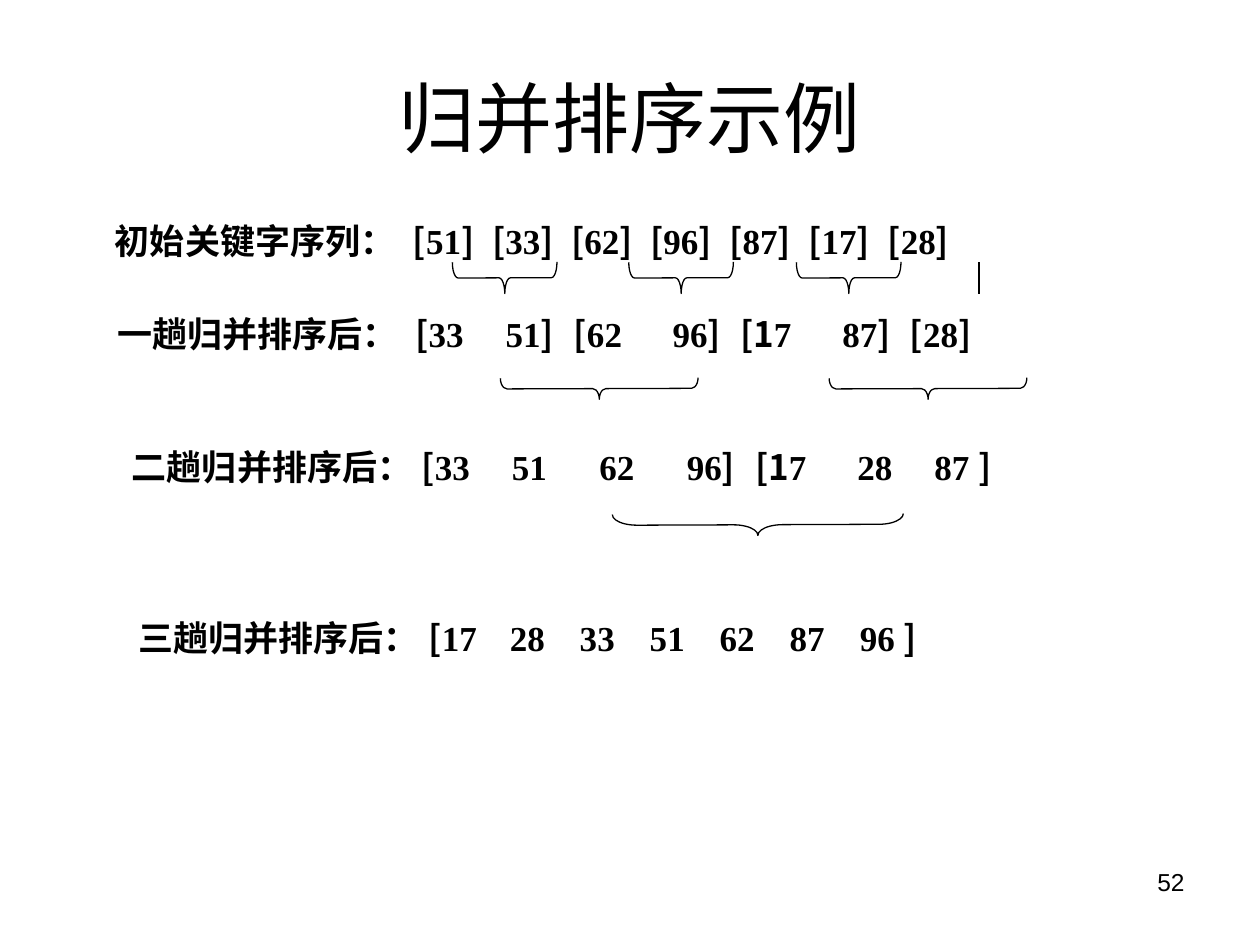
from lxml import etree
from pptx import Presentation
from pptx.dml.color import RGBColor
from pptx.enum.shapes import MSO_CONNECTOR, MSO_SHAPE
from pptx.enum.text import MSO_ANCHOR, PP_ALIGN
from pptx.oxml.ns import qn
from pptx.util import Pt

BRACE, STRAIGHT = MSO_SHAPE.RIGHT_BRACE, MSO_CONNECTOR.STRAIGHT
MIDDLE, BOTTOM = MSO_ANCHOR.MIDDLE, MSO_ANCHOR.BOTTOM
CENTER, RIGHT, JUSTIFY = PP_ALIGN.CENTER, PP_ALIGN.RIGHT, PP_ALIGN.JUSTIFY
COLORS = {"ink": "000000"}
INK = RGBColor.from_string(COLORS["ink"])
SANS, CJK, SERIF = "Arial", "Noto Sans CJK SC", "Times New Roman"


def add_text(para, text, font=SANS, size=20, bold=False):
    span = para.add_run()
    span.text = text
    span.font.name = font
    span.font.size = Pt(size)
    span.font.bold = bold
    span.font.color.rgb = INK


deck = Presentation()
deck.slide_width, deck.slide_height = Pt(720), Pt(540)
page = deck.slides.add_slide(deck.slide_layouts[5])

# Title
title = page.shapes.title
title.left, title.top, title.width, title.height = Pt(36), Pt(21.6), Pt(648), Pt(90)
title.text_frame.vertical_anchor = MIDDLE
title.text_frame.paragraphs[0].alignment = CENTER
add_text(title.text_frame.paragraphs[0], "归并排序示例", size=44)

# Braces that join the merged pairs: center x, center y, length, depth, curve
braces = [(x, 158.8, 59.8, 18, 0.18) for x in (288.4, 389.2, 485)]
braces += [(x, 222.1, 113, 12.2, 0.31) for x in (342.4, 530.3)]
braces += [(433.1, 299.9, 166.3, 12.2, 1.15)]
for x, y, length, depth, curve in braces:
    brace = page.shapes.add_shape(
        BRACE, Pt(x - depth / 2), Pt(y - length / 2), Pt(depth), Pt(length))
    brace.rotation = 89.8
    brace.adjustments[0] = curve
    brace.shadow.inherit = False
    brace.fill.background()
    brace.line.color.rgb = INK
    brace.line.width = Pt(0.75)

# Line for the key left without a partner
single = page.shapes.add_connector(STRAIGHT, Pt(559.4), Pt(149.8), Pt(559.4), Pt(167.8))
single.line.color.rgb = INK
single.line.width = Pt(0.75)
etree.SubElement(single._element.spPr, qn("a:effectLst"))

# Sorting passes: label, box, label start, keys as "open|digits|close", key starts
passes = [
    ("初始关键字序列", (54, 96, 606, 57), 65.7,
     ["[|51|]", "[|33|]", "[|62|]", "[|96|]", "[|87|]", "[|17|]", "[|28|]"],
     [236 + 45.2 * i for i in range(7)]),
    ("一趟归并排序后", (60, 150, 642, 56), 67.2,
     ["[|33|", "|51|]", "[|62|", "|96|]", "[1|7|", "|87|]", "[|28|]"],
     [237.5, 289, 328, 384.5, 423, 481.5, 520]),
    ("二趟归并排序后", (48, 250.5, 642, 31.5), 75.4,
     ["[|33|", "|51|", "|62|", "|96|]", "[1|7|", "|28|", "|87 |]"],
     [241, 292.5, 342.5, 392.5, 431.5, 490, 534]),
    ("三趟归并排序后", (72, 324, 558, 56), 79.2,
     ["[|17|", "|28|", "|33|", "|51|", "|62|", "|87|", "|96 |]"],
     [245] + [291.4 + 40 * i for i in range(6)]),
]
for label, place, start, keys, stops in passes:
    box = page.shapes.add_textbox(*[Pt(value) for value in place])
    frame = box.text_frame
    frame.word_wrap = True
    frame.vertical_anchor = BOTTOM
    frame.margin_left = Pt(start - place[0])
    para = frame.paragraphs[0]
    para.alignment = JUSTIFY
    tabs = etree.SubElement(para._p.get_or_add_pPr(), qn("a:tabLst"))
    for stop in stops:
        etree.SubElement(tabs, qn("a:tab"), pos=str(Pt(stop - start)), algn="l")
    add_text(para, label, bold=True)
    add_text(para, "：", font=CJK, bold=True)
    for key in keys:
        opening, digits, closing = key.split("|")
        add_text(para, "\t" + opening, font=CJK, bold=True)
        add_text(para, digits, font=SERIF, bold=True)
        if closing:
            add_text(para, closing, font=CJK, bold=True)

# Page number
number = page.shapes.add_textbox(Pt(516), Pt(492), Pt(168), Pt(37.5))
number.text_frame.word_wrap = True
number.text_frame.paragraphs[0].alignment = RIGHT
add_text(number.text_frame.paragraphs[0], "52", size=14)

deck.save("out.pptx")
